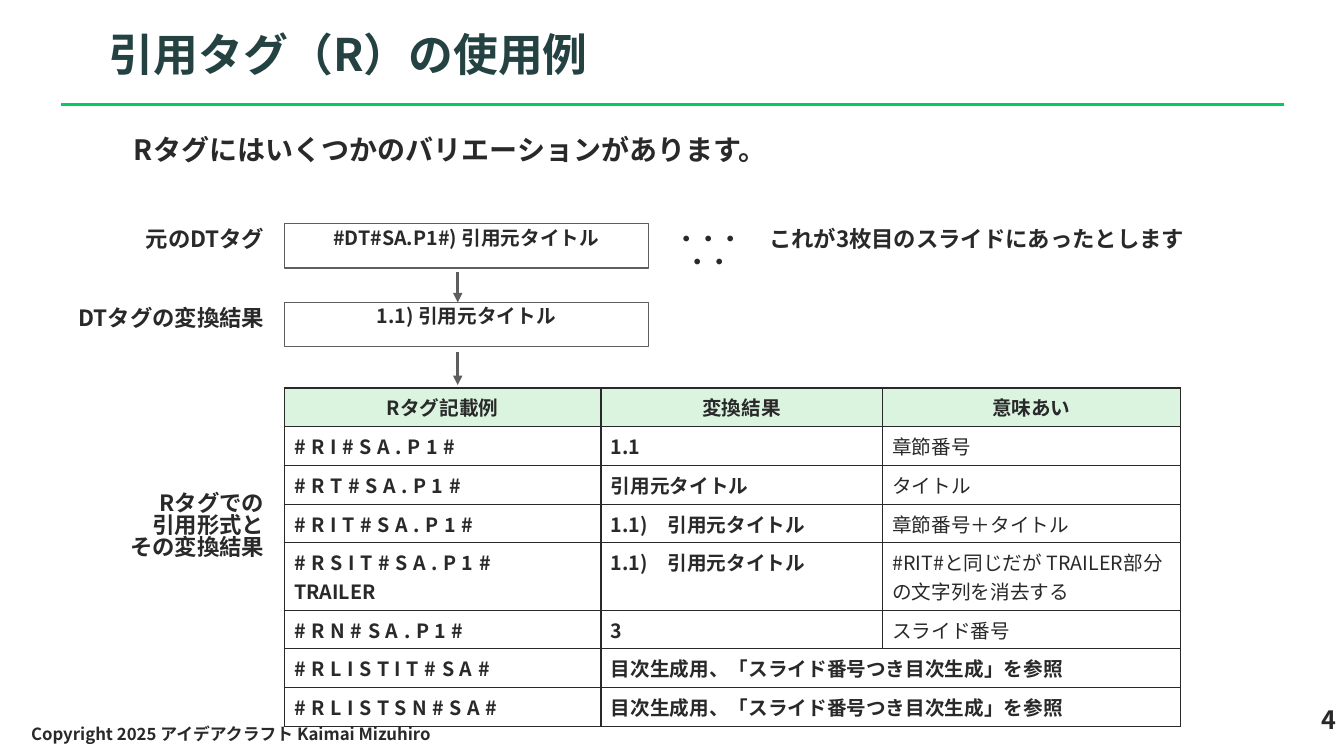
"""Build the slide on the variants of the R citation tag."""
import pptx
import pptx.dml.color
import pptx.enum.shapes
import pptx.enum.text
import pptx.oxml
import pptx.oxml.ns
import pptx.util

inch = pptx.util.Inches
align = pptx.enum.text.PP_ALIGN
anchor = pptx.enum.text.MSO_ANCHOR
FONT = "Noto Sans CJK JP"
COLORS = {"title": "244242", "text": "292929", "rule": "00CC66",
          "frame": "5E5E5E", "header": "DAF4E0", "white": "FFFFFF"}
RGB = {name: pptx.dml.color.RGBColor.from_string(value) for name, value in COLORS.items()}
DRAWING = pptx.oxml.ns.nsdecls("a")
LABEL_LEFT, LABEL_WIDTH = 0.6, 2.12
STEP_LEFT, STEP_WIDTH, STEP_HEIGHT = 2.82, 3.61, 0.44
STEP_TOP, STEP_PITCH = 2.22, 0.78
LINE_HEIGHT = 0.37


def write(box, text, size, alignment=align.LEFT, color="text", spacing=0.87):
    frame = box.text_frame
    frame.word_wrap = True
    frame.vertical_anchor = anchor.TOP
    frame.text = text
    for para in frame.paragraphs:
        para.alignment = alignment
        para.line_spacing = spacing
        para.font.name = FONT
        para.font.size = pptx.util.Pt(size)
        para.font.bold = True
        para.font.color.rgb = RGB[color]
        for span in para.runs:
            properties = span._r.get_or_add_rPr()
            properties.append(pptx.oxml.parse_xml(f'<a:ea {DRAWING} typeface="{FONT}"/>'))
    return frame


def draw_line(start, end, color, arrow=False):
    line = page.shapes.add_connector(
        pptx.enum.shapes.MSO_CONNECTOR.STRAIGHT, *map(inch, start + end))
    line.line.color.rgb = RGB[color]
    line.line.width = pptx.util.Pt(2.25)
    if arrow:
        line.line._get_or_add_ln().append(
            pptx.oxml.parse_xml(f'<a:tailEnd {DRAWING} type="triangle"/>'))
    line._element.spPr.append(pptx.oxml.parse_xml(f"<a:effectLst {DRAWING}/>"))


deck = pptx.Presentation()
deck.slide_width, deck.slide_height = inch(13.33), inch(7.5)
page = deck.slides.add_slide(deck.slide_layouts[6])

draw_line((0.61, 1.04), (12.73, 1.04), "rule")

rows = [
    ("Rタグ記載例", "変換結果", "意味あい"),
    ("#RI#SA.P1#", "1.1", "章節番号"),
    ("#RT#SA.P1#", "引用元タイトル", "タイトル"),
    ("#RIT#SA.P1#", "1.1)　引用元タイトル", "章節番号＋タイトル"),
    ("#RSIT#SA.P1#  ", "1.1)　引用元タイトル", "#RIT#と同じだが TRAILER部分の文字列を消去する"),
    ("#RN#SA.P1#", "3", "スライド番号"),
    ("#RLISTIT#SA#", "目次生成用、「スライド番号つき目次生成」を参照", ""),
    ("#RLISTSN#SA#", "目次生成用、「スライド番号つき目次生成」を参照", ""),
]
widths = [3.14, 2.79, 2.96]
table = page.shapes.add_table(
    len(rows), len(widths), inch(STEP_LEFT), inch(3.85),
    inch(sum(widths)), inch(LINE_HEIGHT * len(rows))).table
table.horz_banding = False
for column, width in zip(table.columns, widths):
    column.width = inch(width)
for row_index, row in enumerate(rows):
    table.rows[row_index].height = inch(LINE_HEIGHT)
    for column_index, text in enumerate(row):
        cell = table.cell(row_index, column_index)
        for side in ("lnL", "lnR", "lnT", "lnB"):
            cell._tc.get_or_add_tcPr().append(pptx.oxml.parse_xml(
                f'<a:{side} {DRAWING} w="12700"><a:solidFill>'
                f'<a:srgbClr val="{COLORS["text"]}"/></a:solidFill></a:{side}>'))
        cell.fill.solid()
        cell.fill.fore_color.rgb = RGB["white" if row_index else "header"]
        if not text:
            table.cell(row_index, 1).merge(cell)
            continue
        frame = write(cell, text, 14, align.LEFT if row_index else align.CENTER, spacing=1.0)
        para = frame.paragraphs[0]
        if row_index and column_index == 0:
            para.runs[0]._r.get_or_add_rPr().set("spc", "400")
        if row_index and column_index == 2:
            para.font.bold = False
        if text.startswith("#RSIT"):
            trailer = para.add_run()
            trailer.text = "TRAILER"

steps = [("元のDTタグ", "#DT#SA.P1#) 引用元タイトル"),
         ("DTタグの変換結果", "1.1) 引用元タイトル")]
texts = [
    ((0.98, 0.29, 11.98, 0.71), "引用タグ（R）の使用例", 32, align.LEFT, "title"),
    ((11.71, 6.98, 1.64, 0.5), "4", 18, align.RIGHT),
    ((1.23, 1.31, 10.47, 0.44), "Rタグにはいくつかのバリエーションがあります。", 20),
    ((LABEL_LEFT, 4.85, LABEL_WIDTH, 0.91), "Rタグでの\n引用形式と\nその変換結果", 16,
     align.RIGHT, "text", 0.82),
    ((7.53, STEP_TOP, 4.65, LINE_HEIGHT), "これが3枚目のスライドにあったとします", 16),
    ((6.53, STEP_TOP, 1, LINE_HEIGHT), "・・・・・", 16, align.CENTER),
]
for index, (label, content) in enumerate(steps):
    top = STEP_TOP + STEP_PITCH * index
    texts.append(((LABEL_LEFT, top, LABEL_WIDTH, LINE_HEIGHT), label, 16, align.RIGHT))
    step = page.shapes.add_shape(
        pptx.enum.shapes.MSO_SHAPE.RECTANGLE,
        *map(inch, (STEP_LEFT, top, STEP_WIDTH, STEP_HEIGHT)))
    step.shadow.inherit = False
    step.fill.solid()
    step.fill.fore_color.rgb = RGB["white"]
    step.line.color.rgb = RGB["frame"]
    step.line.width = pptx.util.Pt(1)
    write(step, content, 14, align.CENTER).word_wrap = False

for start, end in ((2.7, 3), (3.49, 3.82)):
    draw_line((4.54, start), (4.54, end), "frame", arrow=True)

for place, *content in texts:
    write(page.shapes.add_textbox(*map(inch, place)), *content)

footer = page.shapes.add_textbox(*map(inch, (0.21, 7.08, 6.06, 0.4)))
write(footer, "Copyright 2025 アイデアクラフト Kaimai Mizuhiro", 12,
      spacing=1.0).vertical_anchor = anchor.MIDDLE

deck.save("out.pptx")
